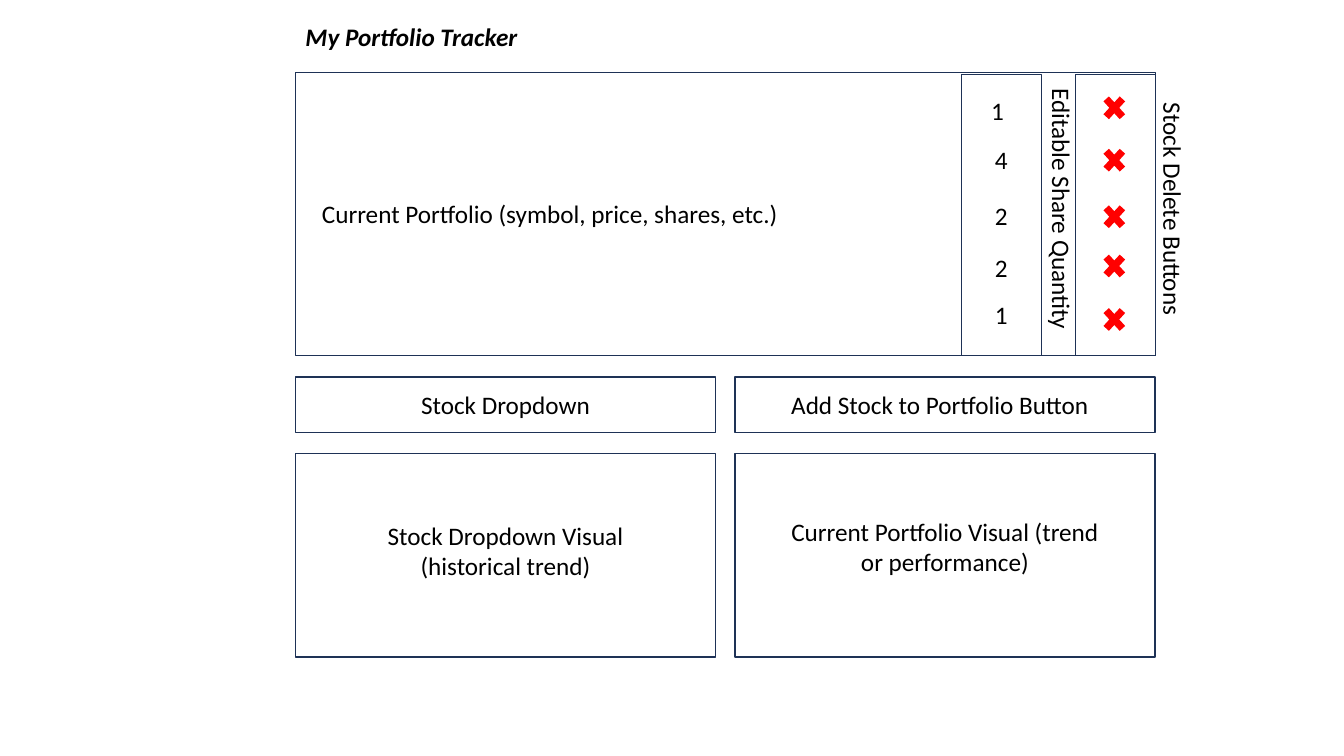
import pptx
import pptx.util
import pptx.dml.color
import pptx.enum.shapes
import pptx.enum.text
from dataclasses import dataclass

Pt = pptx.util.Pt
SHAPE = pptx.enum.shapes.MSO_SHAPE
ALIGN = pptx.enum.text.PP_ALIGN
AUTO = pptx.enum.text.MSO_AUTO_SIZE

COLORS = {"outline": "1E3256", "delete": "FF0000", "text": "000000"}
FONT = "Calibri"


@dataclass
class Box:
    left: float
    top: float
    width: float
    height: float


@dataclass
class Label:
    text: str
    box: Box
    align: ALIGN = ALIGN.CENTER
    rotation: float = 0


@dataclass
class Holding:
    quantity: str
    left: float
    top: float
    delete_top: float


def rgb(name: str) -> pptx.dml.color.RGBColor:
    return pptx.dml.color.RGBColor.from_string(COLORS[name])


def add_shape(s, kind: SHAPE, box: Box):
    sp = s.shapes.add_shape(kind, Pt(box.left), Pt(box.top), Pt(box.width), Pt(box.height))
    sp.shadow.inherit = False
    return sp


def add_panel(s, box: Box) -> None:
    sp = add_shape(s, SHAPE.RECTANGLE, box)
    sp.fill.background()
    sp.line.color.rgb = rgb("outline")
    sp.line.width = Pt(1)


def add_delete_button(s, box: Box) -> None:
    sp = add_shape(s, SHAPE.MATH_MULTIPLY, box)
    sp.fill.solid()
    sp.fill.fore_color.rgb = rgb("delete")
    sp.line.fill.background()


def write(tf, text: str, align: ALIGN, strong: bool = False) -> None:
    tf.word_wrap = True
    p = tf.paragraphs[0]
    p.text = text
    p.alignment = align
    r = p.runs[0]
    r.font.name = FONT
    r.font.size = Pt(18)
    r.font.color.rgb = rgb("text")
    r.font.bold = r.font.italic = strong


def add_label(s, label: Label) -> None:
    box = label.box
    sp = s.shapes.add_textbox(Pt(box.left), Pt(box.top), Pt(box.width), Pt(box.height))
    sp.rotation = label.rotation
    write(sp.text_frame, label.text, label.align)
    sp.text_frame.auto_size = AUTO.SHAPE_TO_FIT_TEXT


def set_title(s, text: str, box: Box) -> None:
    sp = s.shapes.title
    sp.left, sp.top = Pt(box.left), Pt(box.top)
    sp.width, sp.height = Pt(box.width), Pt(box.height)
    sp.text_frame.auto_size = AUTO.NONE
    sp.text_frame.vertical_anchor = pptx.enum.text.MSO_ANCHOR.TOP
    write(sp.text_frame, text, ALIGN.LEFT, strong=True)


LEFT, RIGHT = 211, 825.2
HALF = 300.2
COLUMN = 56.9
LINE = 29

PORTFOLIO = Box(LEFT, 51.8, RIGHT - LEFT, 202.3)
CONTROLS = [Box(x, top, HALF, height)
            for top, height in ((324, 145.4), (269.3, 39.6))
            for x in (LEFT, RIGHT - HALF)]
COLUMNS = [Box(x, 53.3, COLUMN, 200.8) for x in (RIGHT - COLUMN, 686.9)]

LABELS = [
    Label("Current Portfolio (symbol, price, shares, etc.)", Box(183.6, 138.2, 418.3, LINE)),
    Label("Stock Dropdown", Box(234.7, 274.3, 252.7, LINE)),
    Label("Stock Dropdown Visual (historical trend)", Box(234.7, 368, 252.7, 51)),
    Label("Current Portfolio Visual (trend or performance)", Box(548.6, 365, 252.7, 51)),
    Label("Add Stock to Portfolio Button", Box(545, 274.3, 252.7, LINE)),
    Label("Stock Delete Buttons", Box(749.5, 140.4, 177.1, LINE), ALIGN.LEFT, 90),
    Label("Editable Share Quantity", Box(657.4, 142.6, 202.3, LINE), ALIGN.LEFT, 90),
]
HOLDINGS = [
    Holding("1", 697, 64.8, 64.8),
    Holding("4", 699.8, 99.4, 102.2),
    Holding("2", 699.8, 139.7, 142.6),
    Holding("2", 699.8, 176.4, 177.8),
    Holding("1", 699.8, 210.2, 216),
]

prs = pptx.Presentation()
prs.slide_width, prs.slide_height = Pt(960), Pt(540)
s = prs.slides.add_slide(prs.slide_layouts[5])

set_title(s, "My Portfolio Tracker", Box(LEFT, 11.5, 321, LINE))
for panel in [PORTFOLIO, *CONTROLS, *COLUMNS]:
    add_panel(s, panel)
for label in LABELS:
    add_label(s, label)
for holding in HOLDINGS:
    add_label(s, Label(holding.quantity, Box(holding.left, holding.top, 31, LINE)))
    add_delete_button(s, Box(784.8, holding.delete_top, 22.3, 24.5))

prs.save("out.pptx")
